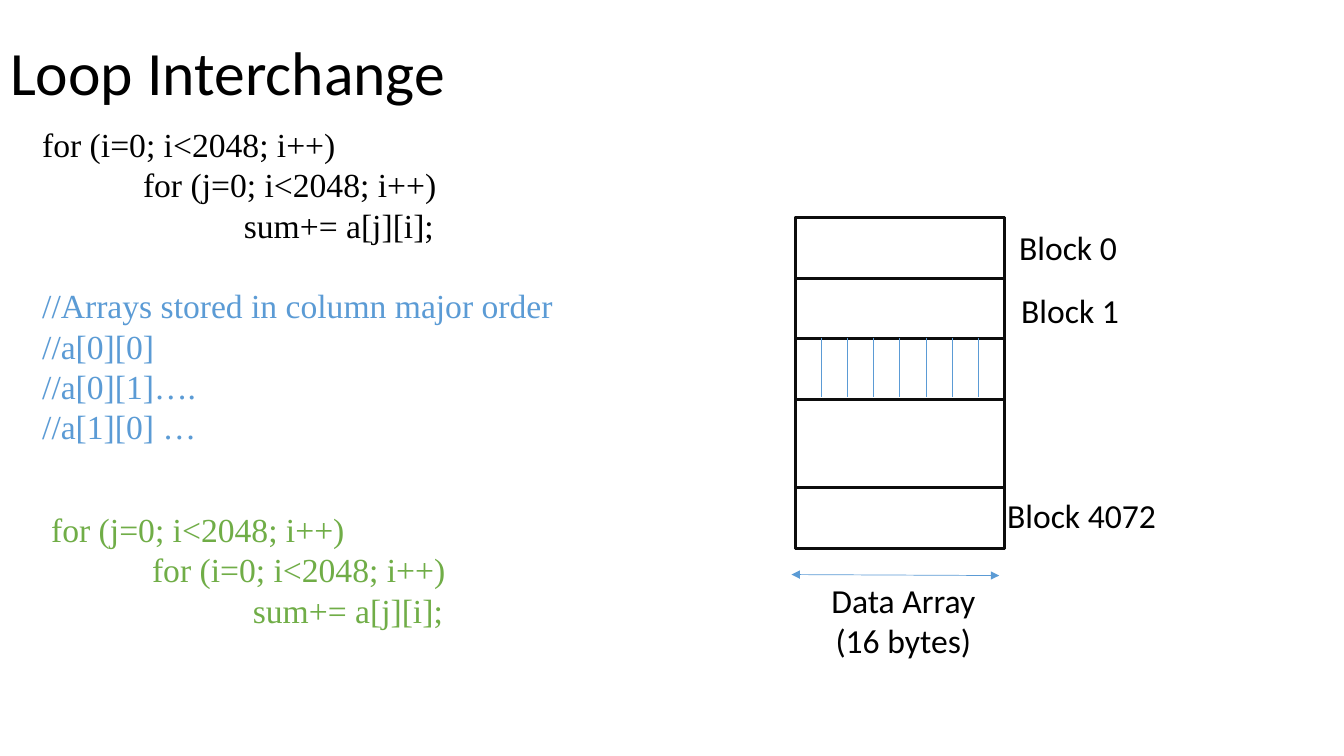
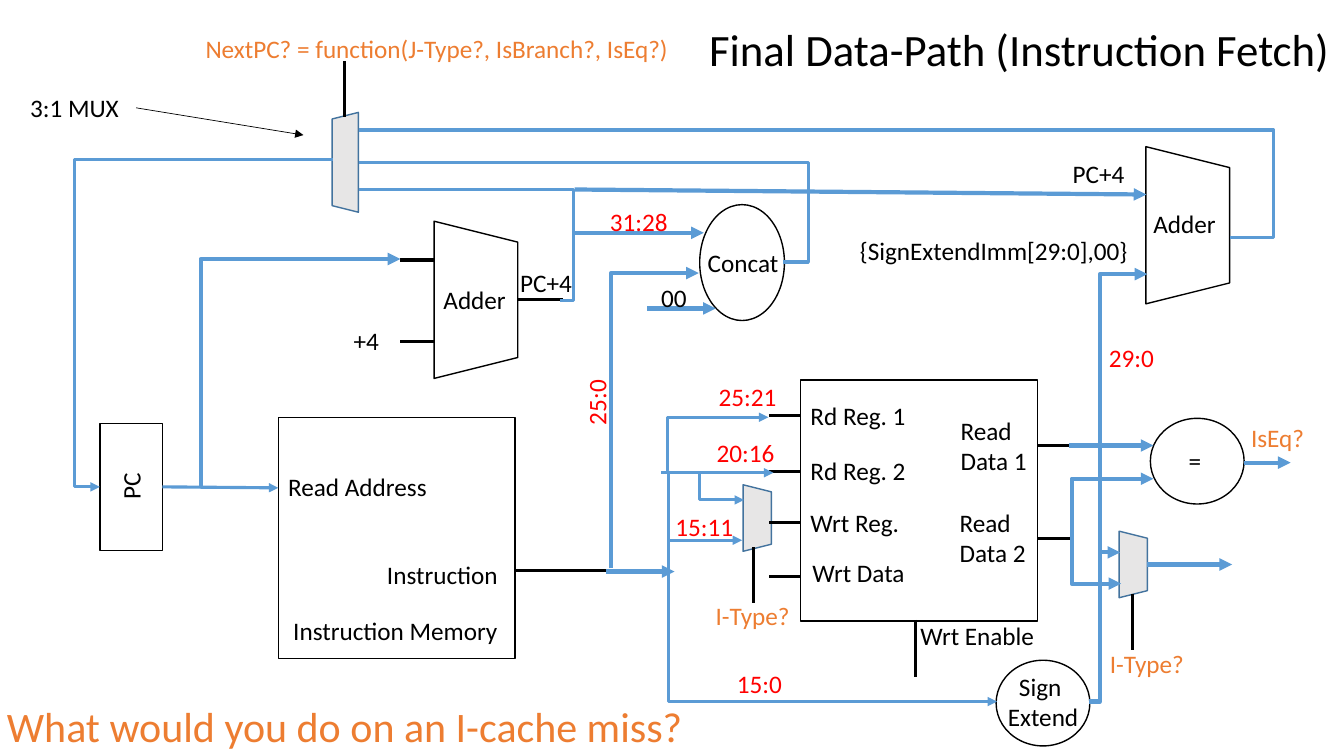
import pptx
import pptx.util
import pptx.dml.color
import pptx.enum.shapes
import pptx.enum.text
import pptx.oxml
import pptx.oxml.ns

Inches, Pt = pptx.util.Inches, pptx.util.Pt
hex_colour = pptx.dml.color.RGBColor.from_string
SHAPE = pptx.enum.shapes.MSO_SHAPE
CONNECTOR = pptx.enum.shapes.MSO_CONNECTOR
ALIGN = pptx.enum.text.PP_ALIGN
FIT = pptx.enum.text.MSO_AUTO_SIZE
qn = pptx.oxml.ns.qn

BLACK, NEAR_BLACK, RED = "000000", "0D0D0D", "FF0000"
BLUE, MUX_EDGE, MUX_FILL = "5B9BD5", "43739E", "E7E6E6"
ORANGE, GREEN = "ED7D31", "70AD47"
SANS, SERIF = "Calibri", "Times New Roman"


def label(slide, left, top, width, lines, colour=BLACK, size=18, font=SANS,
          align=ALIGN.LEFT, rotation=0, wrap=False):
    """Add a text box, one paragraph per line, and return its paragraphs."""
    height = 0.1 + len(lines) * size * 1.2 / 72
    box = slide.shapes.add_textbox(Inches(left), Inches(top), Inches(width), Inches(height))
    box.rotation = rotation
    frame = box.text_frame
    frame.word_wrap = wrap
    frame.auto_size = FIT.SHAPE_TO_FIT_TEXT
    for number, line in enumerate(lines):
        paragraph = frame.add_paragraph() if number else frame.paragraphs[0]
        paragraph.alignment = align
        run = paragraph.add_run()
        run.text = line
        run.font.name, run.font.size = font, Pt(size)
        run.font.color.rgb = hex_colour(colour)
    return frame.paragraphs


def wire(slide, start, end, colour=BLUE, width=2.25, arrows=(), bend=None):
    """Add a straight line, or an elbow whose upright part stands at x = bend."""
    kind = CONNECTOR.STRAIGHT if bend is None else CONNECTOR.ELBOW
    line = slide.shapes.add_connector(kind, *map(Inches, start + end))
    line.line.color.rgb = hex_colour(colour)
    line.line.width = Pt(width)
    properties = line._element.spPr
    for arrow in arrows:
        pptx.oxml.ns  # arrowheads belong to the outline element
        properties.find(qn("a:ln")).append(
            properties.makeelement(qn("a:" + arrow), {"type": "triangle"}))
    properties.append(properties.makeelement(qn("a:effectLst"), {}))
    if bend is not None:
        share = round(100000 * (bend - start[0]) / (end[0] - start[0]))
        guides = properties.find(qn("a:prstGeom")).get_or_add_avLst()
        guides.append(guides.makeelement(
            qn("a:gd"), {"name": "adj1", "fmla": f"val {share}"}))
    return line


deck = pptx.Presentation()
deck.slide_width, deck.slide_height = Inches(13.33), Inches(7.5)
title_only = deck.slide_layouts[5]
loops = deck.slides.add_slide(title_only)
datapath = deck.slides.add_slide(title_only)

# Titles
for slide, words, place, size, align, spacing in (
        (loops, "Loop Interchange", (0, 0.02, 11.5, 1.45), 44, ALIGN.LEFT, 0.9),
        (datapath, "Final Data-Path (Instruction Fetch)", (6.89, 0.16, 6.44, 0.64),
         32, ALIGN.CENTER, 1.0)):
    title = slide.shapes.title
    title.left, title.top, title.width, title.height = map(Inches, place)
    title.text_frame.auto_size = FIT.NONE
    title.text_frame.word_wrap = False
    title.text_frame.vertical_anchor = pptx.enum.text.MSO_ANCHOR.MIDDLE
    heading = title.text_frame.paragraphs[0]
    heading.alignment, heading.line_spacing = align, spacing
    run = heading.add_run()
    run.text = words
    run.font.name, run.font.size = SANS, Pt(size)
    run.font.color.rgb = hex_colour(BLACK)

# Outlines: the cache blocks, then the data-path units, PC last
STACK_LEFT, STACK_TOP, STACK_WIDTH, ROW = 7.89, 2.16, 2.07, 0.6
outlines = [(loops, SHAPE.RECTANGLE, (STACK_LEFT, top, STACK_WIDTH, height), 0)
            for top, height in [(STACK_TOP, 3.28), (4.84, ROW)]
            + [(STACK_TOP + ROW * row, ROW) for row in range(3)]]
outlines += [(datapath, kind, place, rotation) for kind, place, rotation in (
    (SHAPE.RECTANGLE, (7.94, 3.77, 2.35, 2.39), 0),
    (SHAPE.RECTANGLE, (2.76, 4.14, 2.35, 2.39), 0),
    (SHAPE.OVAL, (9.88, 6.55, 0.93, 0.85), 0),
    (SHAPE.OVAL, (6.94, 2.03, 0.84, 1.15), 0),
    (SHAPE.OVAL, (11.41, 4.15, 0.93, 0.85), 0),
    (SHAPE.TRAPEZOID, (3.94, 2.56, 1.56, 0.83), 90),
    (SHAPE.TRAPEZOID, (11, 1.82, 1.56, 0.83), 90),
    (SHAPE.TRAPEZOID, (7.18, 5, 0.66, 0.28), 90),
    (SHAPE.TRAPEZOID, (10.91, 5.46, 0.66, 0.28), 90),
    (SHAPE.TRAPEZOID, (2.93, 1.48, 0.99, 0.26), 270),
    (SHAPE.RECTANGLE, (0.99, 4.2, 0.62, 1.26), 0))]
for slide, kind, place, rotation in outlines:
    unit = slide.shapes.add_shape(kind, *map(Inches, place))
    unit.rotation = rotation
    unit.shadow.inherit = False
    is_mux = kind == SHAPE.TRAPEZOID and place[3] < 0.5
    if is_mux:
        unit.fill.solid()
        unit.fill.fore_color.rgb = hex_colour(MUX_FILL)
    else:
        unit.fill.background()
    edge = NEAR_BLACK if slide is loops else MUX_EDGE if is_mux else BLACK
    unit.line.color.rgb = hex_colour(edge)
    unit.line.width = Pt(2.25 if slide is loops else 1)
program_counter = unit

# Slide 1: code before and after the interchange
before = label(loops, 0.32, 1.18, 5.31, [
    "for (i=0; i<2048; i++)", "for (j=0; i<2048; i++)", "sum+= a[j][i];",
    "//Arrays stored in column major order", "//a[0][0]", "//a[0][1]….", "//a[1][0] …"],
    size=24, font=SERIF)
after = label(loops, 0.41, 5, 4.23, [
    "for (j=0; i<2048; i++)", "for (i=0; i<2048; i++)", "sum+= a[j][i];"],
    GREEN, 24, SERIF)
for code in (before, after):
    for level in (1, 2):
        code[level]._p.get_or_add_pPr().set("marL", str(Inches(level)))
before[3].space_before = Pt(28.8)
for comment in before[3:]:
    comment.runs[0].font.color.rgb = hex_colour(BLUE)

# Slide 1: block names, bytes of one block, width of the array
for left, top, width, name in ((10.01, 2.2, 1.3, "Block 0"), (10.03, 2.83, 1.3, "Block 1"),
                               (9.89, 4.86, 1.69, "Block 4072")):
    label(loops, left, top, width, [name], size=24, wrap=True)
for byte in range(1, 8):
    x = STACK_LEFT + byte * STACK_WIDTH / 8
    wire(loops, (x, 3.35), (x, 3.94), width=0.5)
wire(loops, (7.85, 5.7), (9.91, 5.71), width=0.5, arrows=("headEnd", "tailEnd"))
label(loops, 8.14, 5.7, 1.64, ["Data Array", "(16 bytes)"], size=24, align=ALIGN.CENTER)

# Slide 2: black pins and control lines
for start, end in (
        ((7.63, 4.12), (7.94, 4.12)), ((7.63, 4.68), (7.94, 4.68)),
        ((7.63, 5.18), (7.94, 5.18)), ((7.63, 5.72), (7.94, 5.72)),
        ((10.29, 4.42), (10.6, 4.42)), ((10.29, 5.34), (10.64, 5.34)),
        ((9.08, 6.15), (9.08, 6.72)), ((7.47, 5.98), (7.47, 5.43)),
        ((11.23, 5.89), (11.23, 6.45)), ((5.12, 5.66), (6.1, 5.66)),
        ((5.13, 2.97), (5.58, 2.97)), ((3.97, 2.58), (4.3, 2.58)),
        ((3.97, 3.39), (4.3, 3.39)), ((3.42, 1.16), (3.42, 0.61))):
    wire(datapath, start, end, BLACK)

# Slide 2: blue arrows, with the x of the bend where there is one
for start, end, width, bend in (
        ((6.63, 4.67), (7.62, 4.14), 2.25, 6.62),
        ((6.56, 4.69), (7.67, 4.69), 2.25, None),
        ((6.61, 4.68), (7.36, 5.36), 2.25, 6.63),
        ((6.63, 4.68), (9.89, 6.96), 2.25, 6.63),
        ((6.95, 4.7), (7.38, 4.96), 2.25, 6.94),
        ((3.3, 1.58), (0.99, 4.83), 2.25, 0.74),
        ((10.6, 4.42), (11.44, 4.42), 3, None),
        ((10.8, 6.96), (11.11, 5.48), 3, 10.91),
        ((10.61, 5.34), (11.12, 5.79), 3, 10.63),
        ((10.62, 5.33), (11.44, 4.75), 3, 10.63),
        ((10.91, 5.5), (11.38, 2.72), 3, 10.91),
        ((11.38, 5.6), (12.22, 5.6), 3, None),
        ((12.34, 4.59), (12.8, 4.59), 3, None),
        ((1.99, 4.83), (3.97, 2.57), 3, 1.99),
        ((6.06, 5.64), (6.93, 2.71), 3, 6.06),
        ((6.01, 5.67), (6.69, 5.67), 3, None),
        ((5.7, 2.31), (6.98, 2.31), 3, None),
        ((6.42, 3.06), (7.1, 3.06), 3, None),
        ((5.7, 1.88), (11.37, 1.93), 3, None)):
    wire(datapath, start, end, width=width, arrows=("tailEnd",), bend=bend)
address = wire(datapath, (1.61, 4.83), (2.76, 4.84), arrows=("tailEnd",))
address.begin_connect(program_counter, 3)

# Slide 2: lines back to the next-PC mux, and its pointer
for start, end, bend in (((5.56, 2.98), (3.56, 1.88), 5.69),
                         ((7.77, 2.6), (3.56, 1.61), 8.02),
                         ((12.2, 2.36), (3.56, 1.29), 12.63)):
    wire(datapath, start, end, bend=bend)
wire(datapath, (1.35, 1.07), (3.01, 1.34), BLACK, 0.5, ("tailEnd",))

# Slide 2: names of units and ports, bit ranges, control signals
for colour, names in (
        (BLACK, (
            (7.94, 3.92, 1.16, "Rd Reg. 1"), (7.94, 4.47, 1.16, "Rd Reg. 2"),
            (7.94, 4.98, 1.09, "Wrt Reg."), (7.96, 5.48, 1.13, "Wrt Data"),
            (9.03, 6.1, 1.34, "Wrt Enable"), (2.76, 4.63, 1.59, "Read Address"),
            (3.74, 5.5, 1.37, "Instruction"), (2.81, 6.06, 2.25, "Instruction Memory"),
            (4.3, 2.77, 0.83, "Adder"), (11.34, 2.02, 0.83, "Adder"),
            (3.41, 3.18, 0.46, "+4"), (6.92, 2.4, 0.91, "Concat"),
            (5.06, 2.6, 0.72, "PC+4"), (10.54, 1.52, 0.72, "PC+4"),
            (6.46, 2.75, 0.46, "00"), (11.69, 4.37, 0.33, "="),
            (8.43, 2.29, 2.88, "{SignExtendImm[29:0],00}"), (0.2, 0.87, 1.15, "3:1 MUX"))),
        (RED, (
            (7.03, 3.73, 0.78, "25:21"), (7.01, 4.29, 0.78, "20:16"),
            (6.6, 5.02, 0.78, "15:11"), (7.21, 6.58, 0.65, "15:0"),
            (5.95, 2, 0.78, "31:28"), (10.9, 3.35, 0.65, "29:0"))),
        (ORANGE, (
            (7, 5.91, 0.94, "I-Type?"), (10.91, 6.38, 0.94, "I-Type?"),
            (12.31, 4.14, 0.73, "IsEq?"),
            (1.94, 0.28, 4.84, "NextPC? = function(J-Type?, IsBranch?, IsEq?)")))):
    for left, top, width, name in names:
        label(datapath, left, top, width, [name], colour)
label(datapath, 1.06, 4.62, 0.47, ["PC"], rotation=270)
label(datapath, 5.59, 3.79, 0.65, ["25:0"], RED, rotation=270)
label(datapath, 9.43, 4.07, 0.86, ["Read", "Data 1"])
label(datapath, 9.42, 4.98, 0.86, ["Read", "Data 2"])
label(datapath, 9.89, 6.61, 0.91, ["Sign ", "Extend"], align=ALIGN.CENTER)

# Slide 2: closing question
label(datapath, -0.03, 6.9, 6.97, ["What would you do on an I-cache miss?"], ORANGE, 30)

deck.save("out.pptx")
